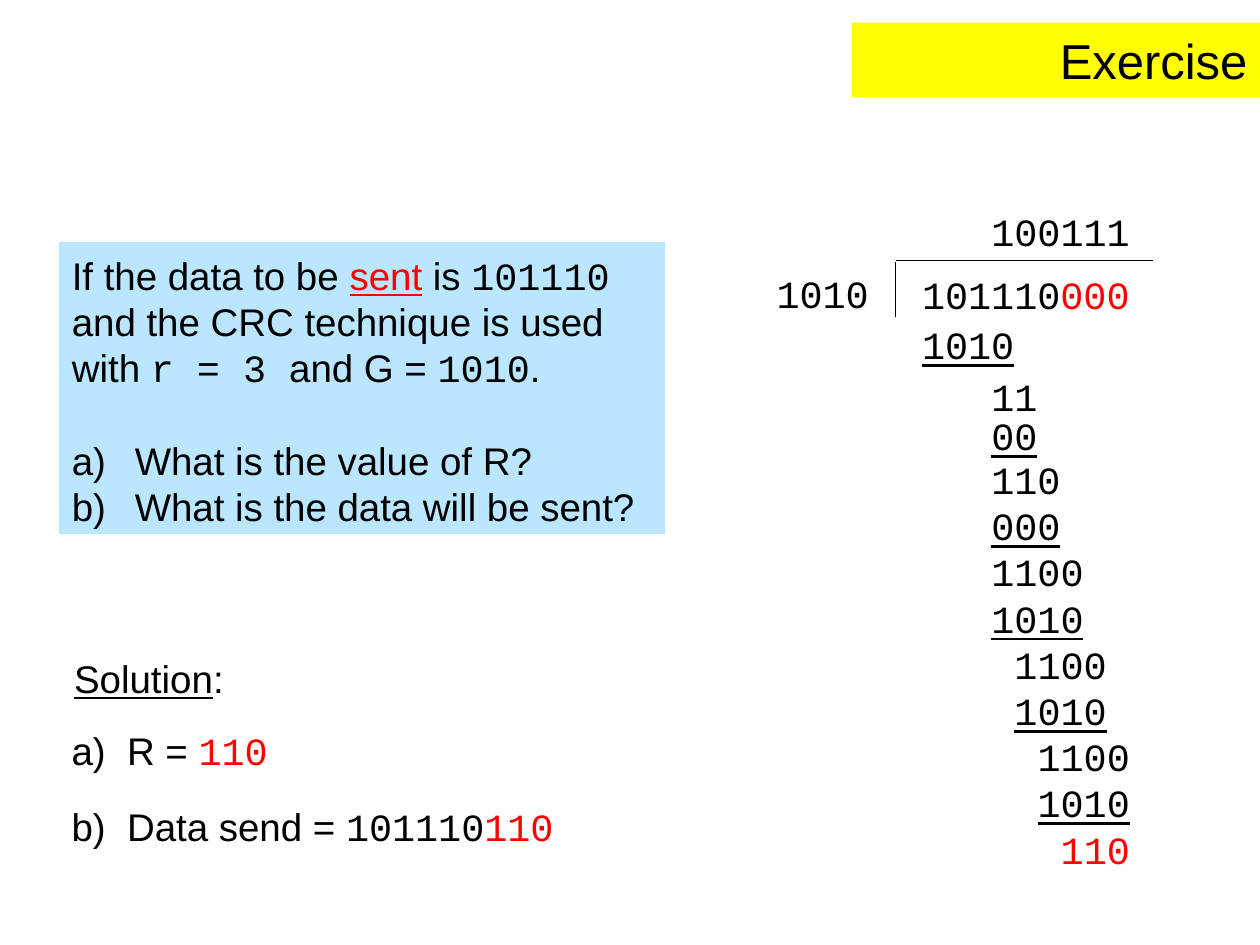
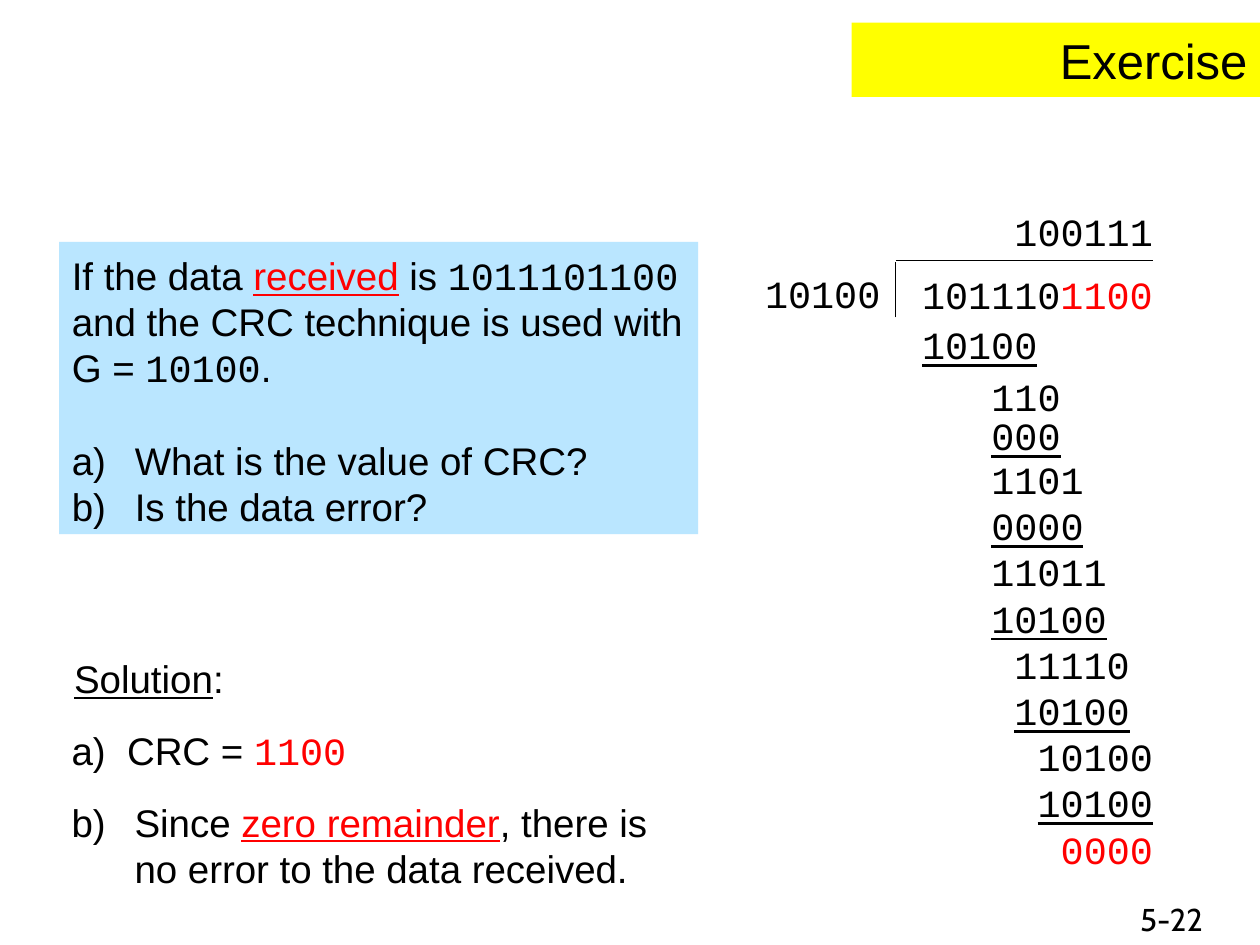
from lxml import etree
from pptx import Presentation, util as u
from pptx.dml.color import RGBColor
from pptx.enum import shapes, text
from pptx.oxml.ns import qn

BLACK, RED, YELLOW, BLUE = "000000", "FF0000", "FFFF00", "1DAFFF"
SANS, MONO, NUMBER_FONT = "Arial", "Courier New", "Cabin"
SIZE, LINE = 22, 26.4
LEFT, DIGIT, FIRST_DIGIT = 0.47, 0.1834, 7.22
STEP_TOPS = [2.47, 2.88, 3.19]
STEP_COLUMNS = [0, 0, 0, 0, 1, 1, 2, 2, 3]


def rgb(value):
    """Turn a hex string into a colour."""
    return RGBColor.from_string(value)


def place(sp, left, top, width, height):
    """Set the position and size of a shape in inches."""
    sp.left, sp.top = u.Inches(left), u.Inches(top)
    sp.width, sp.height = u.Inches(width), u.Inches(height)


def fill(sp, colour, alpha=100):
    """Fill a shape, with its opacity in percent."""
    sp.fill.solid()
    sp.fill.fore_color.rgb = rgb(colour)
    if alpha < 100:
        clr = sp.fill._xPr.find(qn("a:solidFill"))[0]
        etree.SubElement(clr, qn("a:alpha"), val=str(alpha * 1000))


def add_run(p, words, flags="", size=SIZE, font=SANS):
    """Add a run; flags are m (monospaced), r (red) and u (underlined)."""
    r = p.add_run()
    r.text = words
    r.font.size = u.Pt(size)
    r.font.name = MONO if "m" in flags else font
    r.font.color.rgb = rgb(RED if "r" in flags else BLACK)
    r.font.underline = "u" in flags


def format_paragraph(p, margin=0, start=0, before=0):
    """Set indent, lettering (start 1 is a) and spacing of a paragraph."""
    pPr = p._p.get_or_add_pPr()
    pPr.set("marL", str(u.Inches(margin)))
    pPr.set("indent", str(u.Inches(-margin if start else 0)))
    if start:
        bu = etree.SubElement(pPr, qn("a:buAutoNum"), type="alphaLcParenR")
        if start > 1:
            bu.set("startAt", str(start))
    else:
        etree.SubElement(pPr, qn("a:buNone"))
    p.line_spacing = u.Pt(LINE)
    p.space_before = u.Pt(before)


def write(sp, paragraphs):
    """Fill a shape with (runs, paragraph settings) pairs."""
    tf = sp.text_frame
    tf.word_wrap = True
    tf.auto_size = text.MSO_AUTO_SIZE.NONE
    tf.vertical_anchor = text.MSO_ANCHOR.TOP
    has_mono = any("m" in run[1] for runs, _ in paragraphs for run in runs if len(run) > 1)
    tf.margin_top = u.Inches(0.08 if has_mono else 0.05)
    for i, (runs, settings) in enumerate(paragraphs):
        p = tf.add_paragraph() if i else tf.paragraphs[0]
        format_paragraph(p, **settings)
        for run in runs:
            add_run(p, *run)


def add_text(s, left, top, width, paragraphs, height=0.47):
    """Add a text box."""
    sp = s.shapes.add_textbox(0, 0, 0, 0)
    place(sp, left, top, width, height)
    write(sp, paragraphs)
    return sp


def add_digits(s, column, top, runs):
    """Add one row of digits starting at a digit column of the dividend."""
    width = sum(len(run[0]) for run in runs) * DIGIT + 0.25
    add_text(s, FIRST_DIGIT + column * DIGIT, top, width, [(runs, {})])


def add_line(s, x1, y1, x2, y2):
    """Add a thin black line."""
    c = s.shapes.add_connector(shapes.MSO_CONNECTOR.STRAIGHT,
                               *(u.Inches(v) for v in (x1, y1, x2, y2)))
    c.line.color.rgb = rgb(BLACK)
    c.line.width = u.Pt(0.75)
    etree.SubElement(c._element.spPr, qn("a:effectLst"))


def add_title(s, words):
    """Set the title in its yellow band."""
    sp = s.shapes.title
    place(sp, 6.76, 0.18, 3.24, 0.59)
    fill(sp, YELLOW)
    tf = sp.text_frame
    tf.auto_size = text.MSO_AUTO_SIZE.NONE
    tf.vertical_anchor = text.MSO_ANCHOR.MIDDLE
    p = tf.paragraphs[0]
    p.alignment = text.PP_ALIGN.RIGHT
    add_run(p, words, size=28)


def add_question(s, width, intro, questions):
    """Set the question and its lettered parts in the blue box."""
    sp = s.placeholders[1]
    place(sp, LEFT, 1.92, width, 2.32)
    fill(sp, BLUE, 30)
    parts = [([(q,)], dict(margin=0.5, start=1, before=0 if i else LINE))
             for i, q in enumerate(questions)]
    write(sp, [(intro, {})] + parts)


def add_division(s, divisor, data, check, quotient, steps):
    """Lay out a long division on the digit grid."""
    sp = add_text(s, 5.93, 2.06, 1.2, [([(divisor, "m")], {})])
    sp.text_frame.paragraphs[0].alignment = text.PP_ALIGN.CENTER
    add_digits(s, 0, 2.07, [(data, "m"), (check, "mr")])
    add_line(s, 7.11, 2.52, 7.11, 2.08)
    add_line(s, 7.11, 2.07, 9.15, 2.07)
    add_digits(s, len(data + check) - len(quotient), 1.57, [(quotient, "m")])
    for step, top, column, flags in zip(steps, STEP_TOPS, (0, 3, 3), ("mu", "m", "mu")):
        add_digits(s, column, top, [(step, flags)])
    rows = steps[len(STEP_TOPS):]
    flags = ["mu" if i % 2 else "m" for i in range(len(rows) - 1)] + ["mr"]
    add_text(s, FIRST_DIGIT + 3 * DIGIT, 3.54, 1.6,
             [([(row, f)], dict(margin=column * DIGIT))
              for row, f, column in zip(rows, flags, STEP_COLUMNS)], 3.43)


def add_solution(s, first, second, margin, width, height):
    """Add the solution heading and its two lettered answers."""
    add_text(s, 0.49, 5.15, 1.5, [([("Solution", "u"), (":",)], {})])
    add_text(s, LEFT, 5.69, 4.53, [(first, dict(margin=0.44, start=1))])
    add_text(s, LEFT, 6.29, width, [(second, dict(margin=margin, start=2))], height)


def add_page_number(s, number):
    """Add the page number at the bottom right."""
    sp = s.shapes.add_textbox(0, 0, 0, 0)
    place(sp, 8.95, 7.09, 0.74, 0.5)
    sp.text_frame.word_wrap = True
    add_run(sp.text_frame.paragraphs[0], number, size=18, font=NUMBER_FONT)


def add_exercise(prs):
    """Add a slide with the shared title."""
    s = prs.slides.add_slide(prs.slide_layouts[1])
    add_title(s, "Exercise")
    return s


def main():
    """Build both exercise slides."""
    prs = Presentation()
    prs.slide_width, prs.slide_height = u.Inches(10), u.Inches(7.5)

    s = add_exercise(prs)
    add_question(s, 4.81, [
        ("If the data to be ",), ("sent", "ru"), (" is ",), ("101110", "m"),
        (" and the CRC technique is used with ",), ("r = 3 ", "m"),
        ("and G = ",), ("1010", "m"), (".",)],
        ["What is the value of R?", "What is the data will be sent?"])
    add_division(s, "1010", "101110", "000", "100111",
                 ["1010", "11", "00", "110", "000", "1100", "1010",
                  "1100", "1010", "1100", "1010", "110"])
    add_solution(s, [("R = ",), ("110", "mr")],
                 [("Data send = ",), ("101110", "m"), ("110", "mr")], 0.44, 4.53, 0.47)

    s = add_exercise(prs)
    add_question(s, 5.07, [
        ("If the data ",), ("received", "ru"), (" is ",), ("1011101100", "m"),
        (" and the CRC technique is used with G = ",), ("10100", "m"), (".",)],
        ["What is the value of CRC?", "Is the data error?"])
    add_division(s, "10100", "101110", "1100", "100111",
                 ["10100", "110", "000", "1101", "0000", "11011", "10100",
                  "11110", "10100", "10100", "10100", "0000"])
    add_solution(s, [("CRC = ",), ("1100", "mr")],
                 [("Since ",), ("zero remainder", "ru"),
                  (", there is no error to the data received.",)], 0.5, 5.07, 0.84)
    add_page_number(s, "5-22")

    prs.save("out.pptx")


if __name__ == "__main__":
    main()
